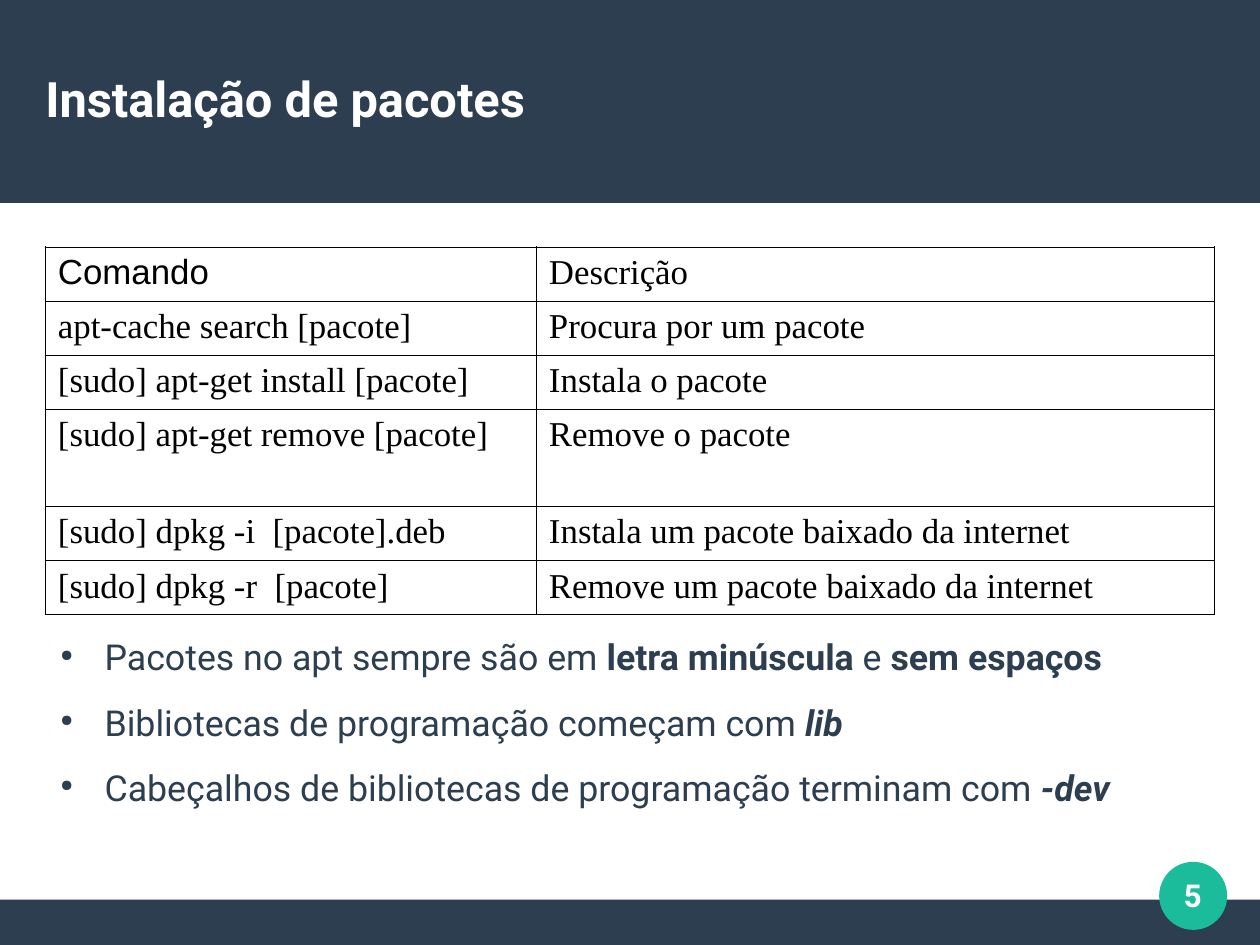
from lxml.etree import SubElement
from pptx import Presentation
from pptx.dml.color import RGBColor
from pptx.enum.shapes import MSO_SHAPE
from pptx.enum.text import MSO_ANCHOR, PP_ALIGN
from pptx.oxml.ns import qn
from pptx.util import Inches, Pt

COLORS = {"navy": "2C3E50", "teal": "1ABC9C", "white": "FFFFFF", "black": "000000"}
W, H = 10, 7.5
MARGIN = 0.36
CONTENT_W = W - 2 * MARGIN

TITLE = "Instalação de pacotes"
PAGE = "5"
COMMANDS = [
    ("Comando", "Descrição"),
    ("apt-cache search [pacote]", "Procura por um pacote"),
    ("[sudo] apt-get install [pacote]", "Instala o pacote"),
    ("[sudo] apt-get remove [pacote]", "Remove o pacote"),
    ("[sudo] dpkg -i  [pacote].deb", "Instala um pacote baixado da internet"),
    ("[sudo] dpkg -r  [pacote]", "Remove um pacote baixado da internet"),
]
COL_SHARES = (0.42, 0.58)
ROW_H, TALL_ROW_H, TALL_ROW = 0.43, 0.77, 3
BULLETS = [
    [("Pacotes no apt sempre são em ", ""), ("letra minúscula", "b"),
     (" e ", ""), ("sem espaços", "b")],
    [("Bibliotecas de programação começam com ", ""), ("lib", "bi")],
    [("Cabeçalhos de bibliotecas de programação terminam com ", ""), ("-dev", "bi")],
]


def rgb(name):
    return RGBColor.from_string(COLORS[name])


def style(font, name, size, color, bold=False, italic=False):
    font.name, font.size = name, Pt(size)
    font.bold, font.italic = bold, italic
    font.color.rgb = rgb(color)


def add_block(s, kind, box, color):
    sp = s.shapes.add_shape(kind, *map(Inches, box))
    sp.shadow.inherit = False
    sp.fill.solid()
    sp.fill.fore_color.rgb = rgb(color)
    sp.line.fill.background()


def add_text(s, box, anchor=MSO_ANCHOR.TOP):
    tf = s.shapes.add_textbox(*map(Inches, box)).text_frame
    tf.word_wrap = True
    tf.vertical_anchor = anchor
    tf.margin_left = tf.margin_top = tf.margin_right = tf.margin_bottom = 0
    return tf


def add_label(s, box, text, size, align):
    tf = add_text(s, box, MSO_ANCHOR.MIDDLE)
    tf.text = text
    p = tf.paragraphs[0]
    p.alignment = align
    style(p.runs[0].font, "Roboto", size, "white", bold=True)


def add_borders(cell):
    tc_pr = cell._tc.get_or_add_tcPr()
    for side in ("lnL", "lnR", "lnT", "lnB"):
        ln = SubElement(tc_pr, qn(f"a:{side}"), w=str(Pt(0.57)))
        fill = SubElement(ln, qn("a:solidFill"))
        SubElement(fill, qn("a:srgbClr"), val=COLORS["black"])


def add_command_table(s, top):
    heights = [TALL_ROW_H if i == TALL_ROW else ROW_H for i in range(len(COMMANDS))]
    box = (MARGIN, top, CONTENT_W, sum(heights))
    table = s.shapes.add_table(len(COMMANDS), len(COL_SHARES), *map(Inches, box)).table
    table.first_row = table.horz_banding = False
    for column, share in zip(table.columns, COL_SHARES):
        column.width = Inches(CONTENT_W * share)
    for i, (row, height) in enumerate(zip(COMMANDS, heights)):
        table.rows[i].height = Inches(height)
        for j, text in enumerate(row):
            cell = table.cell(i, j)
            cell.text = text
            font = "Arial" if (i, j) == (0, 0) else "Times New Roman"
            style(cell.text_frame.paragraphs[0].runs[0].font, font, 19.9, "black")
            add_borders(cell)
            cell.fill.background()


def add_bullet(p):
    p_pr = p._p.get_or_add_pPr()
    p_pr.set("marL", str(Inches(0.47)))
    p_pr.set("indent", str(Inches(-0.35)))
    color = SubElement(p_pr, qn("a:buClr"))
    SubElement(color, qn("a:srgbClr"), val=COLORS["navy"])
    SubElement(p_pr, qn("a:buSzPct"), val="45000")
    SubElement(p_pr, qn("a:buChar"), char="●")


def add_bullets(s, box):
    tf = add_text(s, box)
    for i, parts in enumerate(BULLETS):
        p = tf.add_paragraph() if i else tf.paragraphs[0]
        p.space_after = Pt(12.8)
        add_bullet(p)
        for text, marks in parts:
            r = p.add_run()
            r.text = text
            style(r.font, "Roboto", 20.4, "navy", "b" in marks, "i" in marks)


def main():
    prs = Presentation()
    prs.slide_width, prs.slide_height = Inches(W), Inches(H)
    s = prs.slides.add_slide(prs.slide_layouts[6])
    add_block(s, MSO_SHAPE.RECTANGLE, (0, H - 0.36, W, 0.36), "navy")
    add_block(s, MSO_SHAPE.RECTANGLE, (0, 0, W, 1.61), "navy")
    add_block(s, MSO_SHAPE.OVAL, (9.2, 6.84, 0.54, 0.54), "teal")
    add_command_table(s, 1.96)
    add_label(s, (MARGIN, 0.3, CONTENT_W, 0.95), TITLE, 27.9, PP_ALIGN.LEFT)
    add_bullets(s, (MARGIN, 5.04, CONTENT_W, 1.92))
    add_label(s, (9.11, 6.75, 0.71, 0.71), PAGE, 18, PP_ALIGN.CENTER)
    prs.save("out.pptx")


if __name__ == "__main__":
    main()
